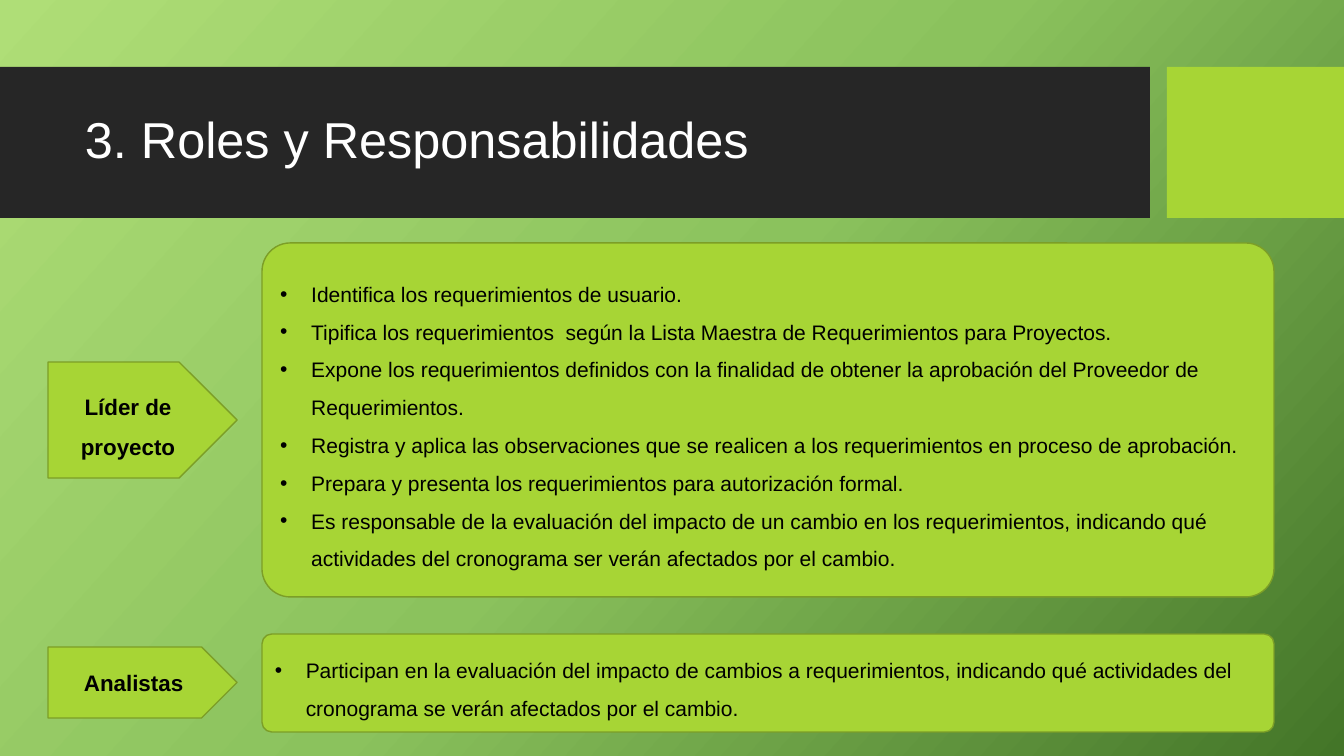
from copy import deepcopy
from dataclasses import dataclass

from lxml import etree
from pptx import Presentation, util as u
from pptx.dml.color import RGBColor
from pptx.enum import shapes, text
from pptx.oxml.ns import qn

PX = u.Inches(1) / 100.8
KIND = shapes.MSO_SHAPE
ALIGN = text.PP_ALIGN


@dataclass(frozen=True)
class Theme:
    font: str = "Arial"
    dark: str = "262626"
    lime: str = "A7D535"
    edge: str = "7C9E27"
    ink: str = "000000"
    white: str = "FFFFFF"
    grad: tuple = ((0, "AFDE77"), (0.5, "8BC25D"), (1, "437528"))
    angle: int = 42
    title: int = 36
    label: int = 16
    body: int = 15
    indent: int = 31


def emu(px):
    return u.Emu(round(px * PX))


def rgb(code):
    return RGBColor.from_string(code)


def apply(item, **values):
    for name, value in values.items():
        setattr(item, name, value)


class Deck:
    def __init__(self, theme):
        self.theme = theme
        self.prs = Presentation()
        apply(self.prs, slide_width=emu(1344), slide_height=emu(756))
        self.slide = self.prs.slides.add_slide(self.prs.slide_layouts[6])

    def backdrop(self):
        fill = self.slide.background.fill
        fill.gradient()
        # The angle is counted counterclockwise here
        fill.gradient_angle = 360 - self.theme.angle
        stops = self.slide.element.find(".//" + qn("a:gsLst"))
        stops.insert(1, deepcopy(stops[0]))
        for stop, (place, code) in zip(fill.gradient_stops, self.theme.grad):
            stop.position = place
            stop.color.rgb = rgb(code)

    def shape(self, kind, box, color, edge=None, adjust=None):
        item = self.slide.shapes.add_shape(kind, *map(emu, box))
        item.shadow.inherit = False
        item.fill.solid()
        item.fill.fore_color.rgb = rgb(color)
        if edge:
            item.line.color.rgb = rgb(edge)
            item.line.width = u.Pt(1)
        else:
            item.line.fill.background()
        if adjust is not None:
            item.adjustments[0] = adjust
        return item

    def label(self, item, lines, size, color, bold=False,
              align=ALIGN.LEFT, space=1.0, bullet=False):
        frame = item.text_frame
        apply(frame, word_wrap=True, vertical_anchor=text.MSO_ANCHOR.MIDDLE)
        for i, line in enumerate(lines):
            par = frame.add_paragraph() if i else frame.paragraphs[0]
            apply(par, alignment=align, line_spacing=space)
            run = par.add_run()
            run.text = line
            apply(run.font, name=self.theme.font, size=u.Pt(size), bold=bold)
            run.font.color.rgb = rgb(color)
            if bullet:
                self.bullet(par)

    def bullet(self, par):
        props = par._p.get_or_add_pPr()
        gap = emu(self.theme.indent)
        props.set("marL", str(gap))
        props.set("indent", str(-gap))
        etree.SubElement(props, qn("a:buFont")).set("typeface", self.theme.font)
        etree.SubElement(props, qn("a:buChar")).set("char", "•")

    def title(self, line):
        t = self.theme
        self.shape(KIND.RECTANGLE, (0, 67, 1150, 151), t.dark)
        self.shape(KIND.RECTANGLE, (1167, 67, 177, 151), t.lime)
        item = self.slide.shapes.add_textbox(*map(emu, (75, 83, 1059, 119)))
        self.label(item, [line], t.title, t.white, space=0.9)

    def role(self, name, tasks, tag, card, adjust, space):
        """Draw a role's arrow tag and task card; tag and card are (top, height)."""
        t = self.theme
        item = self.shape(KIND.PENTAGON, (48, tag[0], 189, tag[1]), t.lime, t.edge)
        self.label(item, [name], t.label, t.ink, True, ALIGN.CENTER, space)
        item = self.shape(KIND.ROUNDED_RECTANGLE, (262, card[0], 1012, card[1]),
                          t.lime, t.edge, adjust)
        self.label(item, tasks, t.body, t.ink, space=1.5, bullet=True)


LEADER = [
    "Identifica los requerimientos de usuario.",
    "Tipifica los requerimientos  según la Lista Maestra de Requerimientos para Proyectos.",
    "Expone los requerimientos definidos con la finalidad de obtener la aprobación "
    "del Proveedor de Requerimientos.",
    "Registra y aplica las observaciones que se realicen a los requerimientos "
    "en proceso de aprobación.",
    "Prepara y presenta los requerimientos para autorización formal.",
    "Es responsable de la evaluación del impacto de un cambio en los requerimientos, "
    "indicando qué actividades del cronograma ser verán afectados por el cambio.",
]
ANALYST = [
    "Participan en la evaluación del impacto de cambios a requerimientos, "
    "indicando qué actividades del cronograma se verán afectados por el cambio.",
]


def main():
    deck = Deck(Theme())
    deck.backdrop()
    deck.title("3. Roles y Responsabilidades")
    deck.role("Líder de proyecto", LEADER, (362, 116), (243, 354), 0.08, 1.5)
    deck.role("Analistas", ANALYST, (647, 71), (634, 98), 0.1, 1.0)
    deck.prs.save("out.pptx")


if __name__ == "__main__":
    main()
